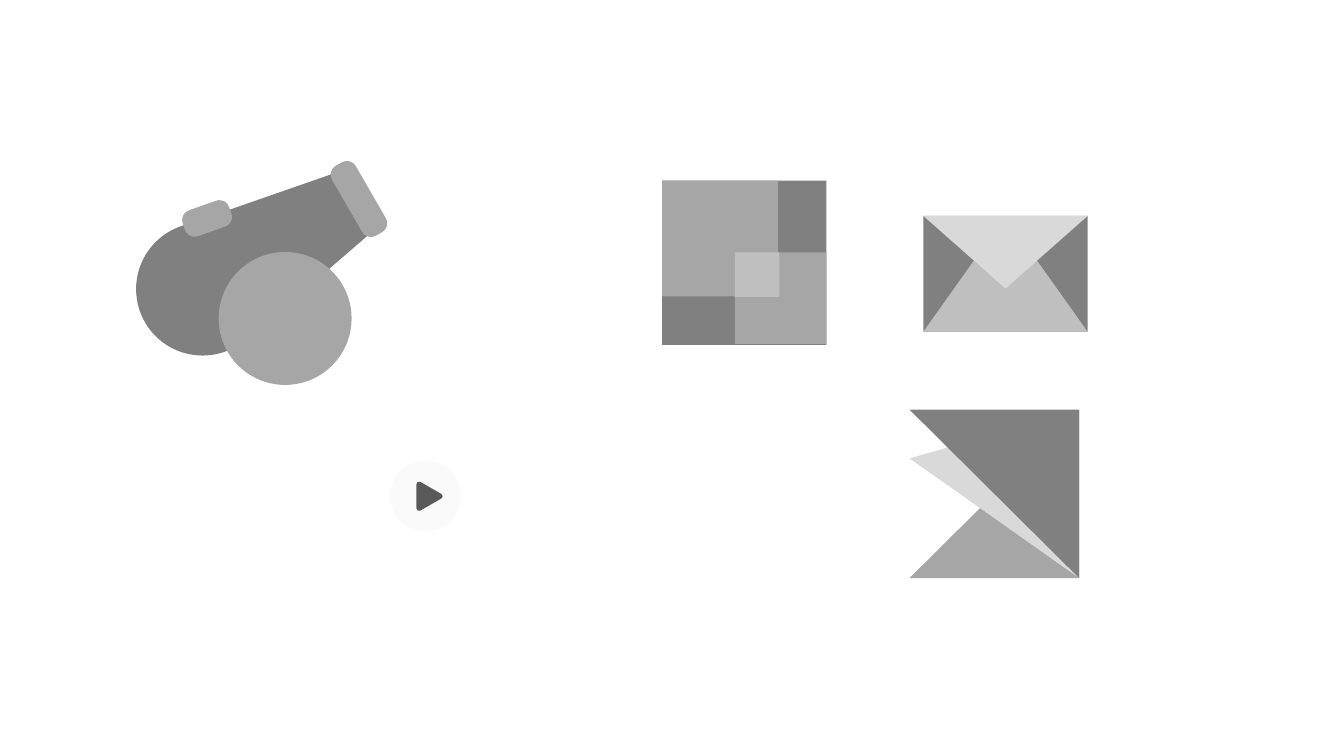
import pptx
import pptx.util
import pptx.dml.color
import pptx.enum.shapes
import lxml.etree

Cm = pptx.util.Cm
MSO = pptx.enum.shapes.MSO_SHAPE
DARK, MID, SOFT, LIGHT = "808080", "A6A6A6", "BFBFBF", "D9D9D9"
INK, PALE = "595959", "FAFAFA"


def rgb(color):
    return pptx.dml.color.RGBColor.from_string(color)


def add_shape(shapes, kind, x, y, w, h, color, rot=0, adj=None):
    s = shapes.add_shape(kind, Cm(x), Cm(y), Cm(w), Cm(h))
    s.shadow.inherit = False
    s.fill.solid()
    s.fill.fore_color.rgb = rgb(color)
    s.line.fill.background()
    s.rotation = rot
    if adj is not None:
        s.adjustments[0] = adj
    return s


prs = pptx.Presentation()
prs.slide_width, prs.slide_height = Cm(33.87), Cm(19.05)
slide = prs.slides.add_slide(prs.slide_layouts[6])

wheel = 3.35
add_shape(slide.shapes, MSO.OVAL, 3.43, 5.61, wheel, wheel, DARK, rot=60)
add_shape(slide.shapes, MSO.TRAPEZOID, 5.51, 3.91, wheel, 4.39, DARK, rot=60)
add_shape(slide.shapes, MSO.ROUNDED_RECTANGLE, 8.03, 4.67, 2.03, 0.69, MID, rot=60, adj=0.375)
add_shape(slide.shapes, MSO.OVAL, 5.51, 6.35, wheel, wheel, MID, rot=60)
add_shape(slide.shapes, MSO.ROUNDED_RECTANGLE, 4.6, 5.16, 1.24, 0.69, MID, rot=340.5, adj=0.375)

squares = slide.shapes.add_group_shape()
left, top, inner_left, inner_top = 16.69, 4.55, 18.52, 6.36
for x, y, side, color in [
    (left, top, 4.14, DARK),
    (left, top, 2.92, MID),
    (inner_left, inner_top, 2.31, MID),
    (inner_left, inner_top, 1.12, SOFT),
]:
    add_shape(squares.shapes, MSO.RECTANGLE, x, y, side, side, color)

envelope = slide.shapes.add_group_shape()
left, top, width, height, flap = 23.27, 5.44, 4.14, 2.92, 1.83
add_shape(envelope.shapes, MSO.RECTANGLE, left, top, width, height, DARK)
add_shape(envelope.shapes, MSO.TRAPEZOID, left, top + height - flap, width, flap, SOFT, adj=0.711)
add_shape(envelope.shapes, MSO.ISOSCELES_TRIANGLE, left, top, width, flap, LIGHT, rot=180)

fan = slide.shapes.add_group_shape()
for apex, color in [(0, MID), (0.711, LIGHT), (1, DARK)]:
    add_shape(fan.shapes, MSO.ISOSCELES_TRIANGLE, 22.94, 10.31, 4.24, 4.27, color, rot=270, adj=apex)

add_shape(slide.shapes, MSO.OVAL, 9.83, 11.61, 1.78, 1.78, PALE)
play = add_shape(slide.shapes, MSO.ISOSCELES_TRIANGLE, 10.52, 12.24, 0.61, 0.53, INK, rot=90)
play.line.color.rgb = rgb(INK)
play.line.width = pptx.util.Pt(3.75)
ln = play.line.fill._xPr
lxml.etree.SubElement(ln, "{http://schemas.openxmlformats.org/drawingml/2006/main}round")

prs.save("out.pptx")
